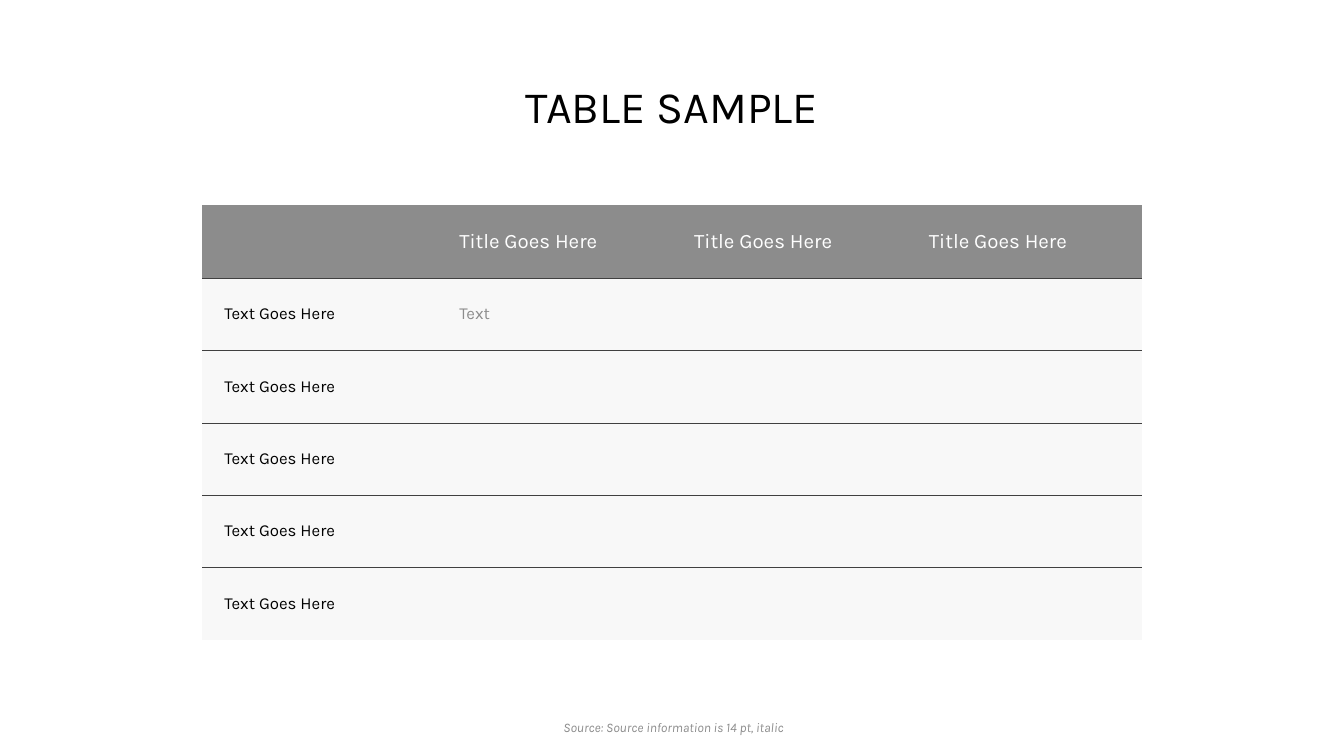
import pptx
import pptx.dml.color
import pptx.enum.text
import pptx.oxml
import pptx.oxml.ns
import pptx.util
from pptx.util import Inches

RGBColor = pptx.dml.color.RGBColor
ANCHOR = pptx.enum.text.MSO_ANCHOR
BLACK = RGBColor(0x00, 0x00, 0x00)
WHITE = RGBColor(0xFF, 0xFF, 0xFF)
GRAY = RGBColor(0x8C, 0x8C, 0x8C)
PALE = RGBColor(0xF8, 0xF8, 0xF8)
RULE = RGBColor(0x40, 0x40, 0x40)
NO_GRID_STYLE = "{2D5ABB26-0587-4C30-8999-92F81FD0307C}"


def write(frame, text, size, color, **formats):
    """Fill the frame with one paragraph; formats are paragraph attributes."""
    para = frame.paragraphs[0]
    for name, value in formats.items():
        setattr(para, name, value)
    span = para.add_run()
    span.text = text
    font = {"name": "Karla", "size": pptx.util.Pt(size), "italic": size == 14}
    for name, value in font.items():
        setattr(span.font, name, value)
    span.font.color.rgb = color


def add_border(cell, side, color, points):
    """Add a line on side T or B; call for T first, and before the fill is set."""
    cell._tc.get_or_add_tcPr().append(pptx.oxml.parse_xml(
        f'<a:ln{side} {pptx.oxml.ns.nsdecls("a")} w="{int(pptx.util.Pt(points))}">'
        f'<a:solidFill><a:srgbClr val="{color}"/></a:solidFill></a:ln{side}>'))


deck = pptx.Presentation()
deck.slide_width, deck.slide_height = Inches(20), Inches(11.25)
page = deck.slides.add_slide(deck.slide_layouts[5])

# Title and source line
title = page.shapes.title
title.left, title.top = Inches(0.91), Inches(0.95)
title.width, title.height = Inches(18.18), Inches(1.08)
source = page.shapes.add_textbox(Inches(0.95), Inches(10.54), Inches(18.15), Inches(0.45))
for box, text, size, color in (
    (title, "TABLE SAMPLE", 48, BLACK),
    (source, "Source: Source information is 14 pt, italic", 14, GRAY),
):
    frame = box.text_frame
    frame.word_wrap = True
    frame.vertical_anchor = ANCHOR.BOTTOM
    write(frame, text, size, color, alignment=pptx.enum.text.PP_ALIGN.CENTER, line_spacing=0.9)

# Table
rows = [["", "Title Goes Here", "Title Goes Here", "Title Goes Here"],
        ["Text Goes Here", "Text", "", ""]]
rows += [["Text Goes Here", "", "", ""] for _ in range(4)]
table = page.shapes.add_table(
    len(rows), len(rows[0]), Inches(3.01), Inches(3.06), Inches(13.98), Inches(6.46)).table
table._tbl.tblPr.find(pptx.oxml.ns.qn("a:tableStyleId")).text = NO_GRID_STYLE
table.horz_banding = False

cell_format = {
    "vertical_anchor": ANCHOR.MIDDLE,
    "margin_left": Inches(0.33),
    "margin_right": Inches(0.17),
    "margin_top": Inches(0.17),
    "margin_bottom": Inches(0.17),
}
for r, row in enumerate(rows):
    header = r == 0
    for c, text in enumerate(row):
        cell = table.cell(r, c)
        for name, value in cell_format.items():
            setattr(cell, name, value)
        add_border(cell, "T", GRAY if header else RULE, 0.5 if header else 0.25)
        if r < len(rows) - 1:
            add_border(cell, "B", RULE, 0.25)
        cell.fill.solid()
        cell.fill.fore_color.rgb = GRAY if header else PALE
        if text:
            color = WHITE if header else BLACK if c == 0 else GRAY
            write(cell.text_frame, text, 22 if header else 18, color)

deck.save("out.pptx")
